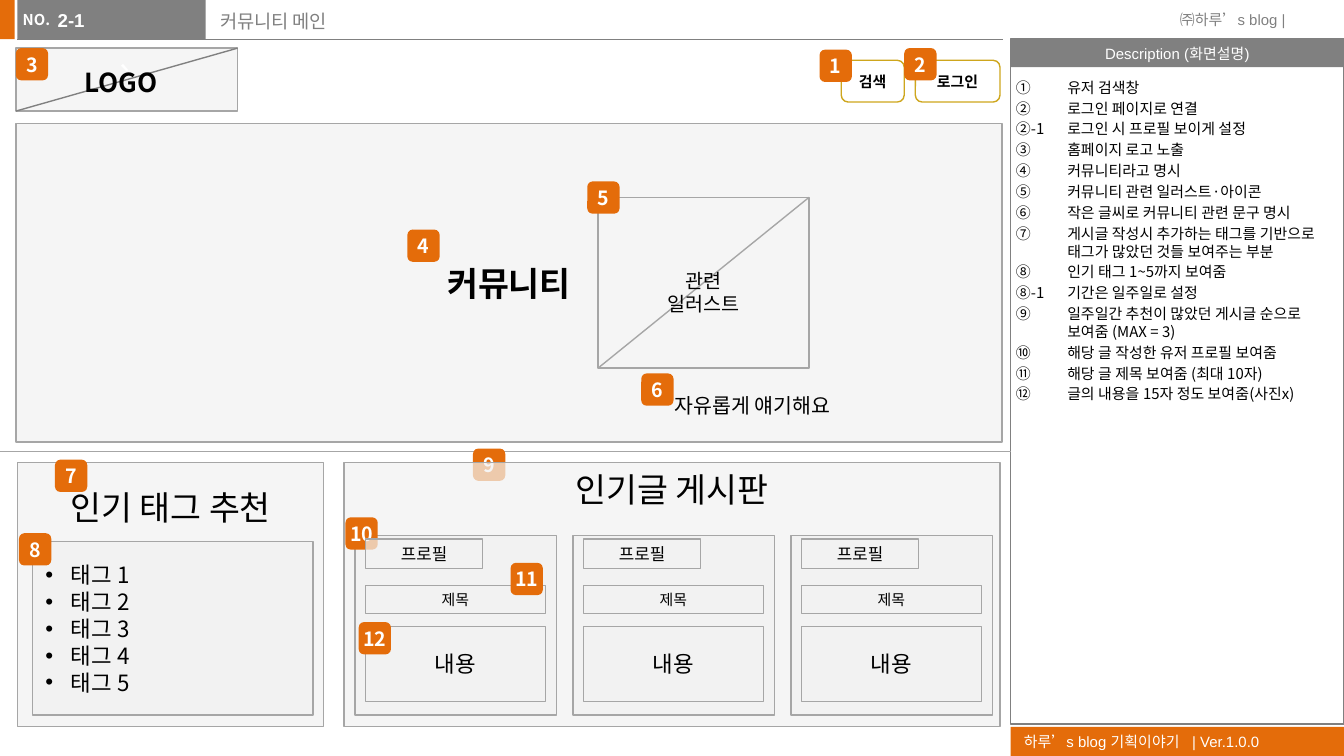
"""Build the community main page wireframe slide."""
import pptx
import pptx.util
import pptx.dml.color
import pptx.enum.shapes
import pptx.enum.text
import pptx.oxml.ns
import lxml.etree

Cm, Pt = pptx.util.Cm, pptx.util.Pt
SHAPE = pptx.enum.shapes.MSO_SHAPE
ALIGN = pptx.enum.text.PP_ALIGN
ANCHOR = pptx.enum.text.MSO_ANCHOR
qn = pptx.oxml.ns.qn


class Theme:
    orange, grey, line, panel = "E46C0A", "808080", "A6A6A6", "F2F2F2"
    gold, black, white = "CEA61D", "000000", "FFFFFF"
    sans, latin = "Noto Sans CJK KR", "Arial"
    small, label, normal, badge = 8, 9, 10, 10.5
    slogan, item, logo, heading = 11, 12, 14, 18
    panel_alpha = 70
    hair, thin, rule = 0, 0.5, 0.75


T = Theme()
BADGE = 0.61
NOTES = [
    ("유저 검색창", 1), ("로그인 페이지로 연결", 1),
    ("②-1\t로그인 시 프로필 보이게 설정", None),
    ("홈페이지 로고 노출", 3), ("커뮤니티라고 명시", 3),
    ("커뮤니티 관련 일러스트·아이콘", 3),
    ("작은 글씨로 커뮤니티 관련 문구 명시", 3),
    ("게시글 작성시 추가하는 태그를 기반으로 태그가 많았던 것들 보여주는 부분", 3),
    ("인기 태그 1~5까지 보여줌", 3),
    ("⑧-1\t기간은 일주일로 설정", None),
    ("일주일간 추천이 많았던 게시글 순으로 보여줌 (MAX = 3)", 9),
    ("해당 글 작성한 유저 프로필 보여줌", 9),
    ("해당 글 제목 보여줌 (최대 10자)", 9),
    ("글의 내용을 15자 정도 보여줌(사진x)", 9),
]


def rgb(color):
    return pptx.dml.color.RGBColor.from_string(color)


def set_all(obj, values):
    for name, value in values.items():
        setattr(obj, name, value)


def place(sp, box):
    set_all(sp, dict(zip(("left", "top", "width", "height"), map(Cm, box))))


def set_bullet(p, hang, bullet):
    pPr = p._p.get_or_add_pPr()
    if hang:
        pPr.set("marL", str(Cm(hang)))
        pPr.set("indent", str(-Cm(hang)))
    else:
        pPr.set("marL", "0")
        pPr.set("indent", "0")
    if bullet is None:
        lxml.etree.SubElement(pPr, qn("a:buNone"))
    elif isinstance(bullet, int):
        lxml.etree.SubElement(pPr, qn("a:buAutoNum"),
                              type="circleNumDbPlain", startAt=str(bullet))
    else:
        lxml.etree.SubElement(pPr, qn("a:buFont"), typeface=T.latin)
        lxml.etree.SubElement(pPr, qn("a:buChar"), char=bullet)


def write(sp, lines, size, color=T.black, font=T.sans, bold=False, align=ALIGN.LEFT,
          anchor=ANCHOR.TOP, wrap=True, sides=(0.25, 0.25), hang=0, before=0):
    """Fill a shape with lines, each a text or a (text, bullet) pair."""
    tf = sp.text_frame
    set_all(tf, {"word_wrap": wrap, "vertical_anchor": anchor,
                 "auto_size": pptx.enum.text.MSO_AUTO_SIZE.NONE,
                 "margin_left": Cm(sides[0]), "margin_right": Cm(sides[1]),
                 "margin_top": Cm(0.13), "margin_bottom": Cm(0.13)})
    for i, line in enumerate([lines] if isinstance(lines, str) else lines):
        text, bullet = (line, None) if isinstance(line, str) else line
        p = tf.add_paragraph() if i else tf.paragraphs[0]
        set_all(p, {"alignment": align, "space_before": Pt(before)})
        set_bullet(p, hang, bullet)
        r = p.add_run()
        r.text = text
        set_all(r.font, {"size": Pt(size), "bold": bold, "name": font})
        r.font.color.rgb = rgb(color)
        lxml.etree.SubElement(r._r.get_or_add_rPr(), qn("a:ea"), typeface=T.sans)


def add_box(shapes, box, fill=None, line=None, width=T.rule, alpha=None, kind=SHAPE.RECTANGLE):
    sp = shapes.add_shape(kind, *map(Cm, box))
    sp.shadow.inherit = False
    if fill:
        sp.fill.solid()
        sp.fill.fore_color.rgb = rgb(fill)
        if alpha:
            clr = sp.fill._xPr.find(".//" + qn("a:srgbClr"))
            lxml.etree.SubElement(clr, qn("a:alpha"), val=str(alpha * 1000))
    else:
        sp.fill.background()
    if line:
        sp.line.color.rgb = rgb(line)
        sp.line.width = Pt(width)
    else:
        sp.line.fill.background()
    return sp


def add_panel(shapes, box, text=None, size=T.small, **style):
    sp = add_box(shapes, box, T.panel, T.line, alpha=T.panel_alpha)
    if text:
        write(sp, text, size, **{"align": ALIGN.CENTER, "anchor": ANCHOR.MIDDLE, **style})


def add_text(shapes, box, text, size, **style):
    write(shapes.add_textbox(*map(Cm, box)), text, size, **style)


def add_line(shapes, x1, y1, x2, y2, color=T.line, width=T.rule):
    cx = shapes.add_connector(pptx.enum.shapes.MSO_CONNECTOR.STRAIGHT,
                              *map(Cm, (x1, y1, x2, y2)))
    cx.line.color.rgb = rgb(color)
    cx.line.width = Pt(width)
    lxml.etree.SubElement(cx._element.spPr, qn("a:effectLst"))


def add_badge(shapes, number, x, y):
    sp = add_box(shapes, (x, y, BADGE, BADGE), T.orange, kind=SHAPE.ROUNDED_RECTANGLE)
    write(sp, str(number), T.badge, T.white, bold=True, align=ALIGN.CENTER,
          anchor=ANCHOR.MIDDLE, sides=(0, 0))


def add_button(shapes, text, x, width):
    sp = add_box(shapes, (x, 1.14, width, 0.79), line=T.gold, width=T.hair,
                 kind=SHAPE.ROUNDED_RECTANGLE)
    write(sp, text, T.small, bold=True, align=ALIGN.CENTER, anchor=ANCHOR.MIDDLE)


def fill_placeholder(ph, box, lines, size, **style):
    place(ph, box)
    write(ph, lines, size, **style)
    ph.element.getparent().append(ph.element)


def add_frame(shapes):
    add_box(shapes, (0, 0, 0.28, 0.74), T.orange)
    sp = add_box(shapes, (19.1, 13.74, 6.3, 0.55), T.orange)
    write(sp, "하루’s blog 기획이야기\t| Ver.1.0.0", T.small, T.white, T.latin,
          anchor=ANCHOR.MIDDLE, hang=3.18)
    add_line(shapes, 0.33, 0.74, 18.95, 0.74, T.grey, T.thin)
    add_box(shapes, (0.33, 0, 3.56, 0.74), T.grey)
    add_text(shapes, (0.18, 0.08, 1.04, 0.61), "NO.", T.small, color=T.white,
             bold=True, wrap=False)
    add_text(shapes, (22.05, 0.08, 2.41, 0.61), "㈜하루’s blog |", T.small,
             color=T.grey, font=T.latin, wrap=False)
    sp = add_box(shapes, (19.1, 0.74, 6.3, 0.53), T.grey)
    write(sp, "Description (화면설명)", T.small, T.white, T.latin, align=ALIGN.CENTER,
          anchor=ANCHOR.MIDDLE, wrap=False)
    add_box(shapes, (19.1, 0.74, 6.3, 12.95), line=T.grey)


def add_header(shapes):
    logo = shapes.add_group_shape().shapes
    add_panel(logo, (0.3, 0.91, 4.19, 1.19), "`", T.heading, color=T.white)
    add_line(logo, 4.49, 0.91, 0.3, 2.1, T.grey)
    add_text(shapes, (1.35, 1.12, 1.96, 0.84), "LOGO", T.logo, bold=True, wrap=False)
    add_button(shapes, "검색", 15.9, 1.19)
    add_button(shapes, "로그인", 17.3, 1.6)


def add_hero(shapes):
    add_panel(shapes, (0.3, 2.34, 18.64, 6.02), "커뮤니티", T.heading, bold=True)
    add_text(shapes, (12.5, 7.29, 4.6, 0.74), "자유롭게 얘기해요", T.slogan)
    art = shapes.add_group_shape().shapes
    add_box(art, (11.3, 3.73, 3.99, 3.23), line=T.line)
    add_line(art, 15.29, 3.73, 11.3, 6.96)
    add_text(art, (12.29, 4.95, 2.01, 1.14), ["관련", "일러스트"], T.badge, align=ALIGN.CENTER)


def add_tags(shapes):
    add_panel(shapes, (0.33, 8.74, 5.79, 5))
    add_text(shapes, (0.33, 9.07, 5.79, 1.02), "인기 태그 추천", T.heading, align=ALIGN.CENTER)
    add_panel(shapes, (0.61, 10.24, 5.31, 3.28), [(f"태그 {n}", "•") for n in range(1, 6)],
              T.item, align=ALIGN.LEFT, hang=0.48)
    add_line(shapes, 0, 8.53, 19.1, 8.53)


def add_board(shapes):
    board = shapes.add_group_shape().shapes
    add_panel(board, (6.5, 8.74, 12.4, 5))
    add_text(board, (6.5, 8.74, 12.4, 1.02), "인기글 게시판", T.heading, align=ALIGN.CENTER)
    cards = [6.71 + 4.12 * i for i in range(3)]
    for x in cards:
        add_panel(board, (x, 10.12, 3.81, 3.4))
        add_panel(board, (x + 0.2, 11.07, 3.4, 0.53), "제목", T.small)
        add_panel(board, (x + 0.2, 11.84, 3.4, 1.42), "내용", T.item)
    for badge in ((11, 9.65, 10.64), (12, 6.78, 11.76), (10, 6.53, 9.78)):
        add_badge(board, *badge)
    for x in cards:
        add_panel(board, (x + 0.2, 10.19, 2.21, 0.56), "프로필", T.label)


def main():
    prs = pptx.Presentation()
    prs.slide_width, prs.slide_height = Cm(25.4), Cm(14.29)
    s = prs.slides.add_slide(prs.slide_layouts[3])
    title, notes, number = s.placeholders
    add_frame(s.shapes)
    fill_placeholder(notes, (19.1, 1.35, 6.3, 12.4), NOTES, T.small,
                     sides=(0.1, 0), hang=0.97, before=1.6)
    fill_placeholder(title, (3.91, 0.05, 15.01, 0.81), "커뮤니티 메인", T.normal, color=T.grey)
    add_header(s.shapes)
    add_hero(s.shapes)
    fill_placeholder(number, (1.09, 0.03, 2.79, 0.79), "2-1", T.normal, color=T.white,
                     font=T.latin, bold=True, sides=(0, 0), before=2)
    add_tags(s.shapes)
    for badge in ((1, 15.49, 0.94), (2, 17.09, 0.91), (3, 0.3, 0.91), (4, 7.7, 4.34),
                  (5, 11.1, 3.43), (6, 12.12, 7.06), (7, 1.04, 8.69), (8, 0.36, 10.08),
                  (9, 8.94, 8.48)):
        add_badge(s.shapes, *badge)
    add_board(s.shapes)
    prs.save("out.pptx")


main()
